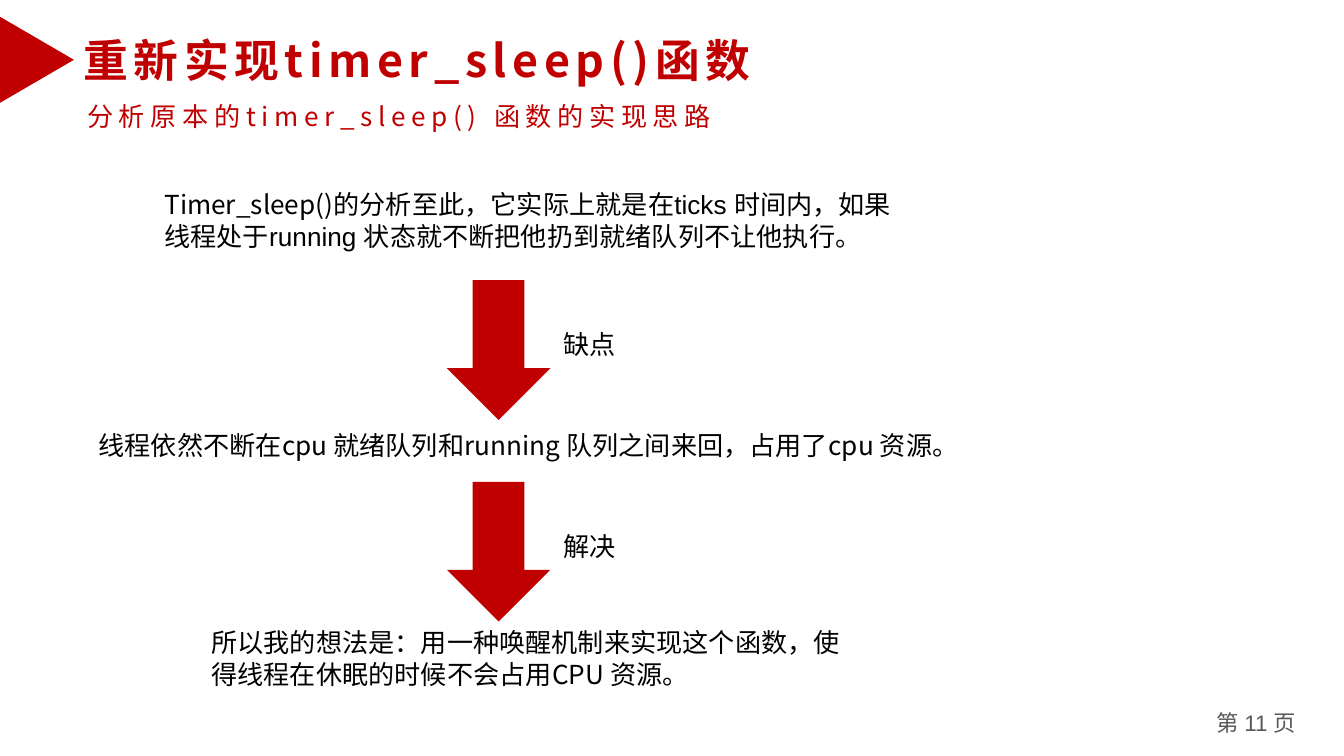
"""Build the slide on reworking timer_sleep()."""
from lxml import etree
from pptx import Presentation
from pptx import util as u
from pptx.dml.color import RGBColor
from pptx.enum import shapes, text
from pptx.oxml.ns import qn

SCALE = 4572
COLORS = {"accent": "C00000", "body": "000000", "muted": "595959"}
SANS = "Noto Sans CJK SC"
LATIN = "Arial"


def px(length):
    """Turn px into EMU."""
    return u.Emu(length * SCALE)


def place(shape, left, top, width, height):
    """Move and size a shape."""
    shape.left, shape.top = px(left), px(top)
    shape.width, shape.height = px(width), px(height)


def format_run(run, size, color, font=SANS, bold=False, spacing=0):
    """Set the type of one run, for Latin and East Asian letters."""
    run.font.size = u.Pt(size)
    run.font.bold = bold
    run.font.name = font
    run.font.color.rgb = RGBColor.from_string(COLORS[color])
    properties = run.font._element
    etree.SubElement(properties, qn("a:ea")).set("typeface", SANS)
    if spacing:
        properties.set("spc", str(spacing * 100))


def fill_text(shape, parts, size, color, wrap=True, align=text.PP_ALIGN.LEFT,
              line_spacing=1.0, bold=False, spacing=0):
    """Write (words, font) parts as one paragraph."""
    frame = shape.text_frame
    frame.word_wrap = wrap
    frame.auto_size = text.MSO_AUTO_SIZE.NONE
    frame.vertical_anchor = text.MSO_ANCHOR.TOP
    paragraph = frame.paragraphs[0]
    paragraph.alignment = align
    paragraph.line_spacing = line_spacing
    paragraph.space_before = u.Pt(0)
    for words, font in parts:
        run = paragraph.add_run()
        run.text = words
        format_run(run, size, color, font, bold, spacing)


def add_text(slide, box, parts, size=14, color="body", **options):
    """Add a text box."""
    shape = slide.shapes.add_textbox(*map(px, box))
    fill_text(shape, parts, size, color, **options)
    return shape


def add_solid(slide, kind, box):
    """Add an accent shape without outline or shadow."""
    shape = slide.shapes.add_shape(kind, *map(px, box))
    shape.shadow.inherit = False
    shape.fill.solid()
    shape.fill.fore_color.rgb = RGBColor.from_string(COLORS["accent"])
    shape.line.fill.background()
    return shape


def add_header(slide, left, top, width, title, subtitle):
    """Place the marker, the title and the subtitle."""
    marker = add_solid(slide, shapes.MSO_SHAPE.ISOSCELES_TRIANGLE,
                       (left - 9, top, 128, 110))
    marker.rotation = 90
    place(slide.shapes.title, left + 104, top + 4, width, 100)
    fill_text(slide.shapes.title, [(title, SANS)], 24, "accent",
              bold=True, spacing=3)
    add_text(slide, (left + 110, top + 106, width, 68), [(subtitle, SANS)],
             color="accent", spacing=3)


def add_flow(slide, left, top, statements, labels, pitch=300):
    """Place the statements, with a labelled arrow after each but the last."""
    for (offset, drop, width, height), parts in statements:
        add_text(slide, (left + offset, top + drop, width, height), parts)
    for index, label in enumerate(labels):
        arrow_top = top + 146 + index * pitch
        add_solid(slide, shapes.MSO_SHAPE.DOWN_ARROW,
                  (left + 538, arrow_top, 154, 208))
        add_text(slide, (left + 692, arrow_top + 48, 118, 76),
                 [(label, LATIN)], wrap=False, line_spacing=1.3)


def add_page_number(slide, left, top, number):
    """Place the page number."""
    shape = add_text(slide, (left, top, 180, 60),
                     [("第 ", SANS), (f"{number} ", LATIN), ("页", SANS)],
                     size=12, color="muted", align=text.PP_ALIGN.CENTER)
    frame = shape.text_frame
    frame.margin_left = frame.margin_right = px(14)
    frame.margin_top = frame.margin_bottom = px(8)


def main():
    """Build and save the presentation."""
    presentation = Presentation()
    presentation.slide_width, presentation.slide_height = px(2000), px(1125)
    slide = presentation.slides.add_slide(presentation.slide_layouts[5])
    add_header(slide, 0, 34, 1232, "重新实现timer_sleep()函数",
               "分析原本的timer_sleep() 函数的实现思路")
    statements = [
        ((98, 0, 1140, 114), [
            ("Timer_sleep()的分析至此，它实际上", SANS),
            ("就是在ticks 时间内，如果线程处于running 状态就不断把他扔到就绪队列不让他执行。", LATIN)]),
        ((0, 358, 1336, 68), [
            ("线程依然不断在cpu 就绪队列和running 队列之间来回，占用了cpu 资源。", SANS)]),
        ((168, 652, 1000, 114), [
            ("所以我的想法是：用一种唤醒机制来实现这个函数，使得线程在休眠的时候不会占用CPU 资源。", SANS)]),
    ]
    add_flow(slide, 127, 271, statements, ["缺点", "解决"])
    add_page_number(slide, 1780, 1047, 11)
    presentation.save("out.pptx")


if __name__ == "__main__":
    main()
